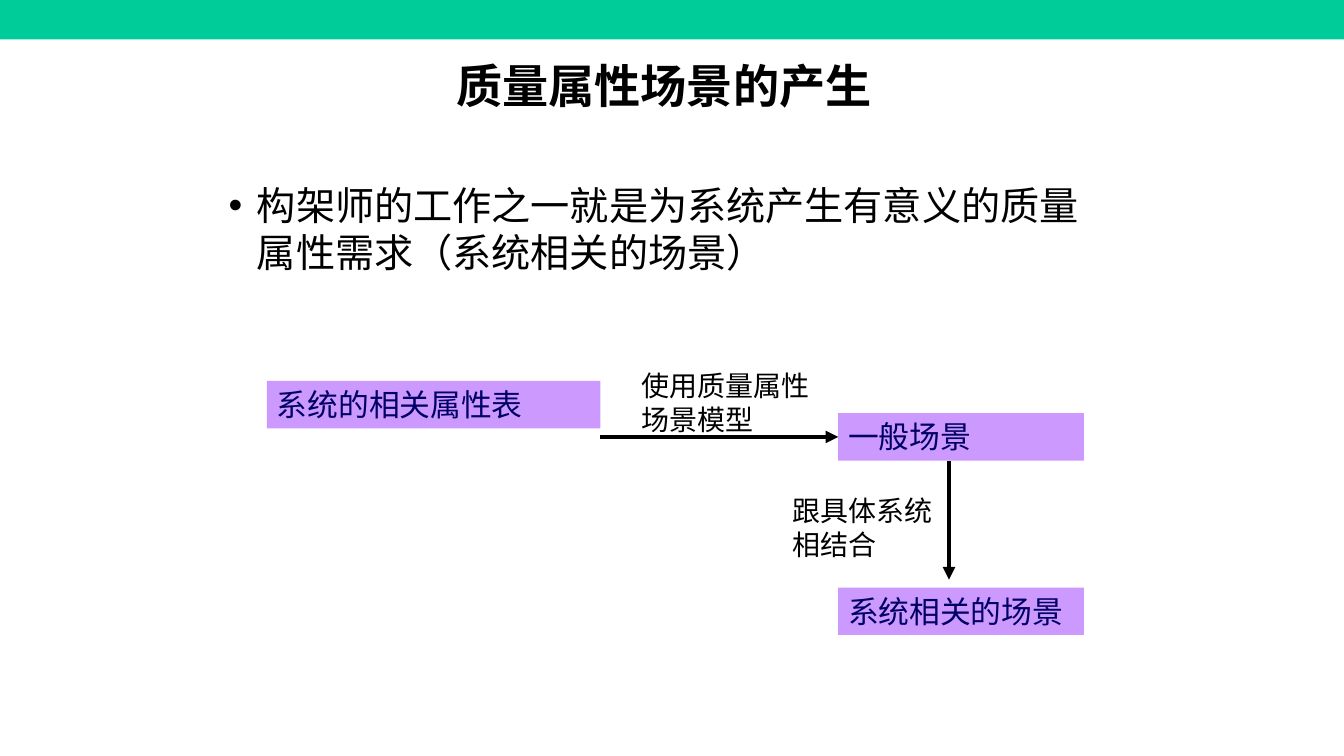
from dataclasses import dataclass

from lxml.etree import SubElement
from pptx import Presentation
from pptx.dml.color import RGBColor
from pptx.enum.lang import MSO_LANGUAGE_ID as Language
from pptx.enum.shapes import MSO_CONNECTOR as Connector, MSO_SHAPE as Preset
from pptx.enum.text import MSO_ANCHOR as Anchor, MSO_AUTO_SIZE as AutoSize, PP_ALIGN as Align
from pptx.oxml.ns import qn
from pptx.util import Inches, Pt


@dataclass(frozen=True)
class Theme:
    """Colours, font and type sizes of the slide."""
    band: RGBColor = RGBColor(0x00, 0xCC, 0x99)
    box: RGBColor = RGBColor(0xCC, 0x99, 0xFF)
    box_text: RGBColor = RGBColor(0x00, 0x00, 0x66)
    ink: RGBColor = RGBColor(0x00, 0x00, 0x00)
    font: str = "Times New Roman"
    title_size: int = 33
    body_size: int = 28
    box_size: int = 22
    label_size: int = 20


THEME = Theme()
BOX_HEIGHT = 0.47


def write(shape, text, *, size, color=THEME.ink, bold=False, align=Align.LEFT,
          bullet=None, fit=AutoSize.SHAPE_TO_FIT_TEXT):
    """Put one formatted paragraph into a shape."""
    frame = shape.text_frame
    frame.word_wrap = True
    frame.auto_size = fit
    frame.vertical_anchor = Anchor.TOP
    para = frame.paragraphs[0]
    para.alignment = align
    para.space_before = Pt(0)
    if bullet:
        props = para._p.get_or_add_pPr()
        props.set("marL", str(Inches(0.28)))
        props.set("indent", str(-Inches(0.28)))
        SubElement(props, qn("a:buChar"), char=bullet)
    span = para.add_run()
    span.text = text
    span.font.name = THEME.font
    span.font.size = Pt(size)
    span.font.bold = bold
    span.font.color.rgb = color
    span.font.language_id = Language.SIMPLIFIED_CHINESE


def place(shape, left, top, width, height):
    """Move and size a placeholder."""
    shape.left, shape.top = Inches(left), Inches(top)
    shape.width, shape.height = Inches(width), Inches(height)
    return shape


def add_block(page, left, top, width, height, color):
    """Add a plain filled rectangle."""
    block = page.shapes.add_shape(
        Preset.RECTANGLE, Inches(left), Inches(top), Inches(width), Inches(height))
    block.shadow.inherit = False
    block.fill.solid()
    block.fill.fore_color.rgb = color
    block.line.fill.background()
    return block


def add_box(page, text, left, top, width):
    """Add a purple stage box with its name."""
    box = add_block(page, left, top, width, BOX_HEIGHT, THEME.box)
    write(box, text, size=THEME.box_size, color=THEME.box_text)
    return box


def add_label(page, text, left, top, width):
    """Add the two-line caption of an arrow."""
    label = page.shapes.add_textbox(
        Inches(left), Inches(top), Inches(width), Inches(0.77))
    write(label, text, size=THEME.label_size)


def add_arrow(page, start, end):
    """Add a straight arrow between two points."""
    arrow = page.shapes.add_connector(Connector.STRAIGHT, *start, *end)
    arrow.line.color.rgb = THEME.ink
    arrow.line.width = Pt(3)
    SubElement(arrow.line._get_or_add_ln(), qn("a:tailEnd"), type="triangle")
    SubElement(arrow._element.spPr, qn("a:effectLst"))
    return arrow


def main():
    """Build the slide and save it."""
    deck = Presentation()
    deck.slide_width, deck.slide_height = Inches(13.34), Inches(7.5)
    page = deck.slides.add_slide(deck.slide_layouts[1])

    add_block(page, 0, 0, 13.34, 0.39, THEME.band)
    title = place(page.shapes.title, 2.34, 0.52, 8.5, 1.25)
    write(title, "质量属性场景的产生", size=THEME.title_size, bold=True,
          align=Align.CENTER, fit=AutoSize.NONE)
    body = place(page.placeholders[1], 2.17, 1.75, 9, 1.37)
    write(body, "构架师的工作之一就是为系统产生有意义的质量属性需求（系统相关的场景）",
          size=THEME.body_size, bullet="•", fit=AutoSize.NONE)

    table_box = add_box(page, "系统的相关属性表", 2.65, 3.78, 3.31)
    general_box = add_box(page, "一般场景", 8.32, 4.1, 2.44)
    add_box(page, "系统相关的场景", 8.32, 5.83, 2.44)

    middle = general_box.top + general_box.height // 2
    across = add_arrow(page, (table_box.left + table_box.width, middle),
                       (general_box.left, middle))
    across.end_connect(general_box, 1)
    add_arrow(page, (Inches(9.42), general_box.top + general_box.height),
              (Inches(9.42), Inches(5.75)))

    add_label(page, "使用质量属性场景模型", 6.27, 3.61, 1.89)
    add_label(page, "跟具体系统相结合", 7.77, 4.85, 1.73)
    deck.save("out.pptx")


if __name__ == "__main__":
    main()
